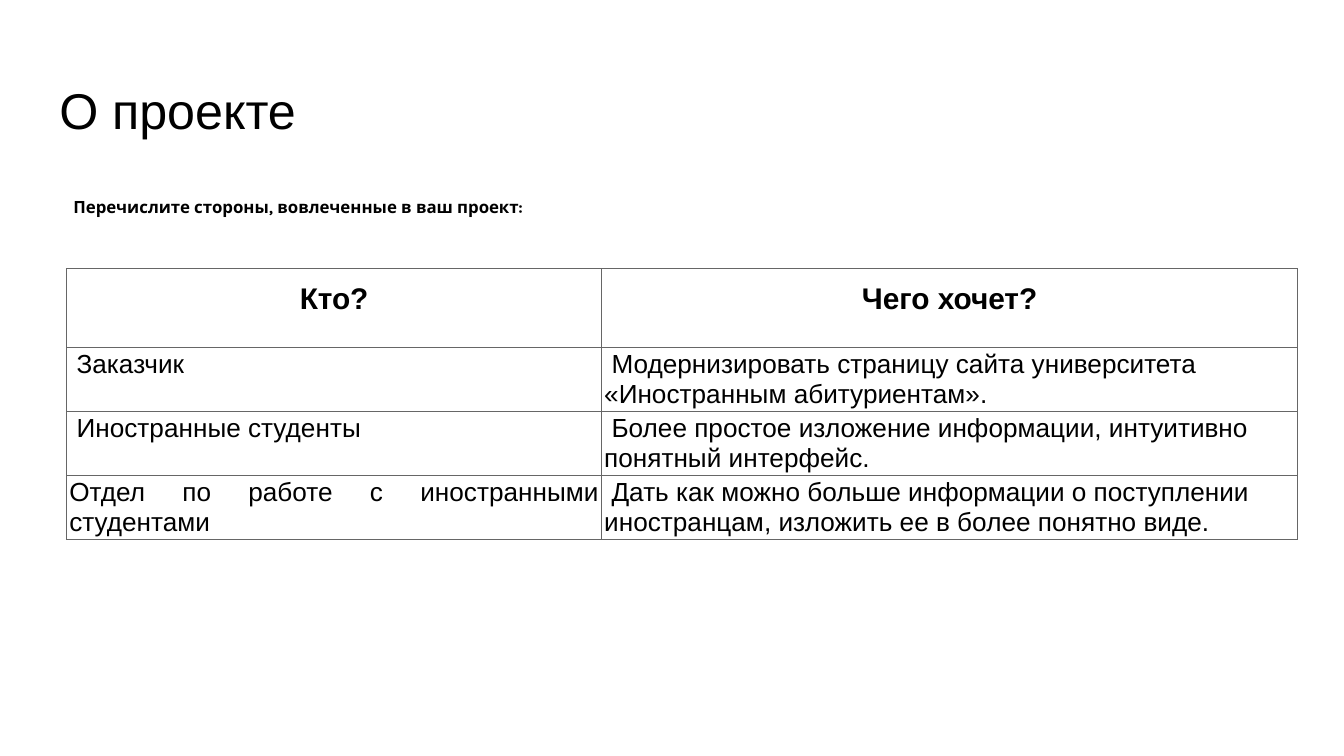
from dataclasses import dataclass

from pptx import Presentation
from pptx.dml.color import RGBColor
from pptx.enum.text import MSO_ANCHOR as Anchor, MSO_AUTO_SIZE as AutoSize, PP_ALIGN as Align
from pptx.oxml.ns import qn
from pptx.util import Inches, Pt
from lxml.etree import SubElement

BLACK = RGBColor(0x00, 0x00, 0x00)
WHITE = RGBColor(0xFF, 0xFF, 0xFF)
GREY = RGBColor(0x66, 0x66, 0x66)

WIDTH = Inches(10)
HEIGHT = WIDTH * 9 // 16
LEFT = 4.96
COLUMNS = (39.8, 51.8)
HEADER_ROW, BODY_ROW = 10.4, 8.02
FIRST_LINE = Pt(3.9)


@dataclass(frozen=True)
class Style:
    size: float
    font: str = "Arial"
    bold: bool = False
    inset: float = 0.1
    anchor: Anchor = Anchor.TOP


@dataclass(frozen=True)
class Party:
    who: str
    wants: str
    who_indented: bool = True


TITLE = Style(26.9)
PROMPT = Style(9, "Karla", True, 0.05, Anchor.MIDDLE)
HEADER = Style(16, bold=True)
BODY = Style(14, inset=0.02)

HEADINGS = ("Кто?", "Чего хочет?")
PARTIES = (
    Party("Заказчик", "Модернизировать страницу сайта университета «Иностранным абитуриентам»."),
    Party("Иностранные студенты", "Более простое изложение информации, интуитивно понятный интерфейс."),
    Party("Отдел по работе с иностранными студентами",
          "Дать как можно больше информации о поступлении иностранцам, изложить ее в более понятно виде.",
          False),
)


def across(percent: float) -> int:
    return round(WIDTH * percent / 100)


def down(percent: float) -> int:
    return round(HEIGHT * percent / 100)


def write(frame, text: str, style: Style, align: Align = Align.LEFT) -> None:
    frame.text = text
    p = frame.paragraphs[0]
    p.alignment = align
    p.font.size = Pt(style.size)
    p.font.name = style.font
    p.font.bold = style.bold
    p.font.color.rgb = BLACK


def fill_box(sp, text: str, style: Style, left: float, top: float, width: float, height: float) -> None:
    sp.left, sp.width = across(left), across(width)
    sp.top, sp.height = down(top), down(height)
    tf = sp.text_frame
    tf.word_wrap = True
    tf.auto_size = AutoSize.NONE
    tf.vertical_anchor = style.anchor
    tf.margin_left = tf.margin_right = tf.margin_top = tf.margin_bottom = Inches(style.inset)
    write(tf, text, style)


def fill_cell(cell, text: str, style: Style, align: Align, indented: bool = False) -> None:
    cell.margin_left = cell.margin_right = cell.margin_top = cell.margin_bottom = Inches(style.inset)
    write(cell.text_frame, text, style, align)
    if indented:
        cell.text_frame.paragraphs[0]._p.get_or_add_pPr().set("indent", str(FIRST_LINE))
    props = cell._tc.get_or_add_tcPr()
    for side in ("lnL", "lnR", "lnT", "lnB"):
        line = SubElement(props, qn(f"a:{side}"), w=str(Pt(0.75)))
        SubElement(SubElement(line, qn("a:solidFill")), qn("a:srgbClr"), val=str(GREY))
    cell.fill.solid()
    cell.fill.fore_color.rgb = WHITE


def add_parties(s) -> None:
    heights = [HEADER_ROW] + [BODY_ROW] * len(PARTIES)
    table = s.shapes.add_table(
        len(heights), len(COLUMNS), across(LEFT), Inches(2),
        across(sum(COLUMNS)), down(sum(heights))).table
    for column, share in zip(table.columns, COLUMNS):
        column.width = across(share)
    for row, share in zip(table.rows, heights):
        row.height = down(share)
    for i, heading in enumerate(HEADINGS):
        fill_cell(table.cell(0, i), heading, HEADER, Align.CENTER)
    for i, party in enumerate(PARTIES, 1):
        fill_cell(table.cell(i, 0), party.who, BODY, Align.JUSTIFY, party.who_indented)
        fill_cell(table.cell(i, 1), party.wants, BODY, Align.LEFT, True)


def main() -> None:
    prs = Presentation()
    prs.slide_width, prs.slide_height = WIDTH, HEIGHT
    s = prs.slides.add_slide(prs.slide_layouts[5])
    fill_box(s.shapes.title, "О проекте", TITLE, 3.41, 8.7, 93.2, 11.2)
    add_parties(s)
    fill_box(s.shapes.add_textbox(0, 0, 0, 0), "Перечислите стороны, вовлеченные в ваш проект:",
             PROMPT, LEFT, 25.15, 75.8, 4.44)
    prs.save("out.pptx")


if __name__ == "__main__":
    main()
